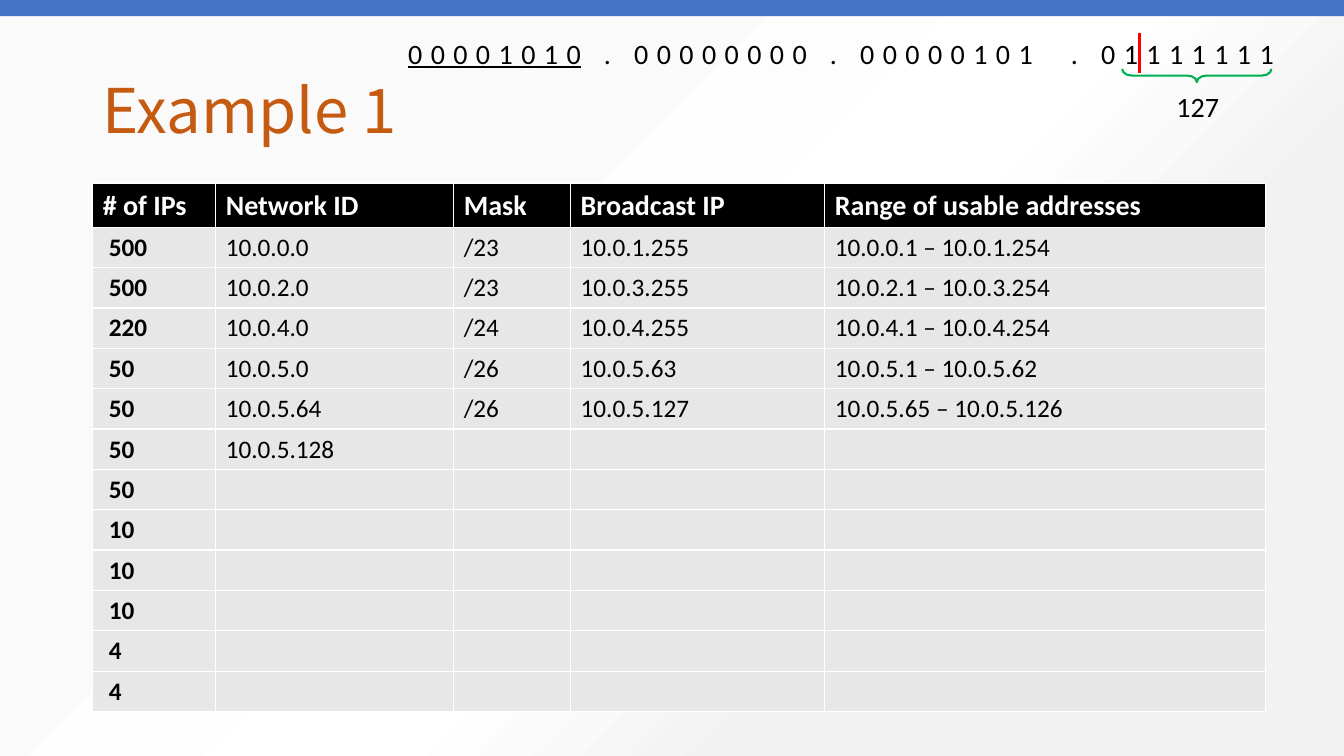
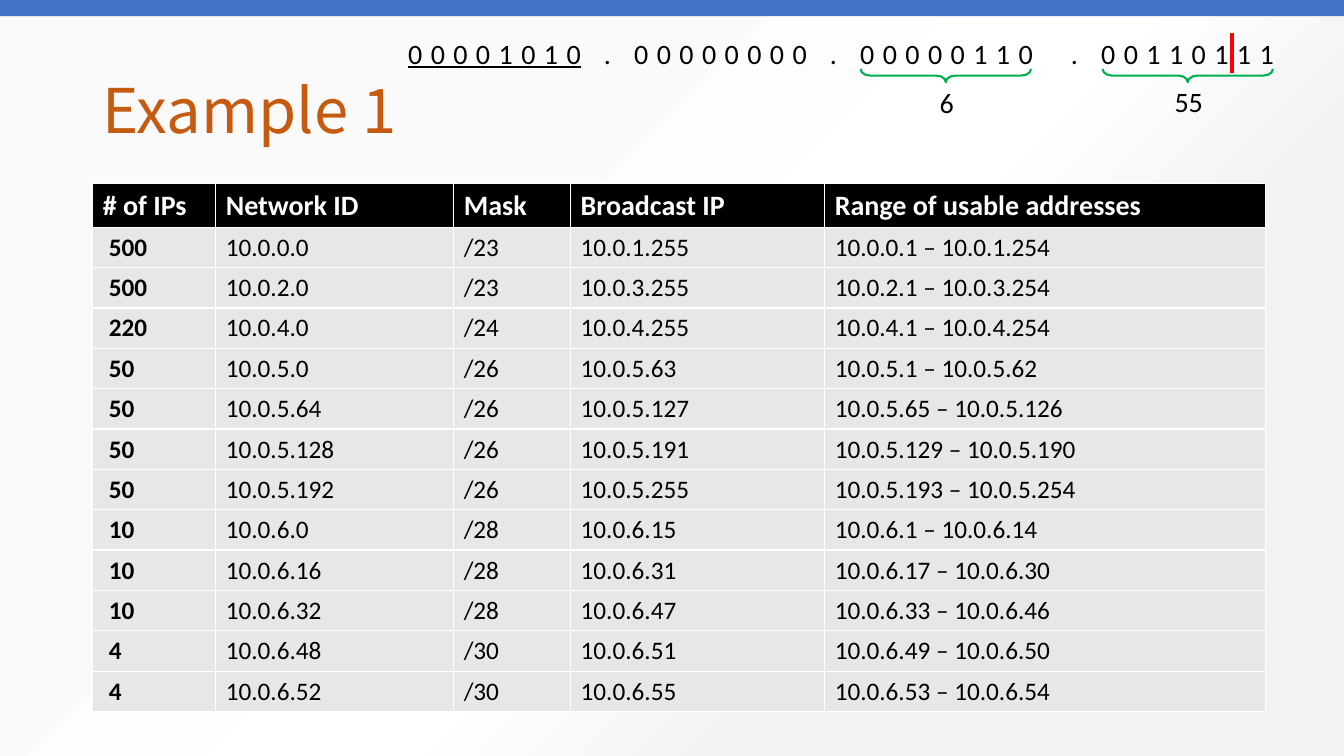
import pptx
import pptx.util
import pptx.dml.color
import pptx.enum.shapes
import pptx.enum.text
import pptx.oxml
import pptx.oxml.ns
import lxml.etree

WIDE, HIGH = 13.33, 7.5
BODY, HEAD = "Calibri", "Noto Sans CJK SC"
BLUE, RUST, GREEN, RED = "4472C4", "C55A11", "00B050", "FF0000"
BLACK, WHITE, GREY = "000000", "FFFFFF", "E7E7E7"
STOPS = [(29, "FAFAFA", 100), (54, WHITE, 9), (71, "F2F2F2", 100), (87, "F2F2F2", 100)]

TITLE = "Example 1"
HEADS = ["# of IPs", "Network ID", "Mask", "Broadcast IP", "Range of usable addresses"]
COLS = [1.22, 2.36, 1.16, 2.52, 4.37]
ROWS = [
    ("500", "10.0.0.0", "/23", "10.0.1.255", "10.0.0.1 – 10.0.1.254"),
    ("500", "10.0.2.0", "/23", "10.0.3.255", "10.0.2.1 – 10.0.3.254"),
    ("220", "10.0.4.0", "/24", "10.0.4.255", "10.0.4.1 – 10.0.4.254"),
    ("50", "10.0.5.0", "/26", "10.0.5.63", "10.0.5.1 – 10.0.5.62"),
    ("50", "10.0.5.64", "/26", "10.0.5.127", "10.0.5.65 – 10.0.5.126"),
    ("50", "10.0.5.128", "/26", "10.0.5.191", "10.0.5.129 – 10.0.5.190"),
    ("50", "10.0.5.192", "/26", "10.0.5.255", "10.0.5.193 – 10.0.5.254"),
    ("10", "10.0.6.0", "/28", "10.0.6.15", "10.0.6.1 – 10.0.6.14"),
    ("10", "10.0.6.16", "/28", "10.0.6.31", "10.0.6.17 – 10.0.6.30"),
    ("10", "10.0.6.32", "/28", "10.0.6.47", "10.0.6.33 – 10.0.6.46"),
    ("4", "10.0.6.48", "/30", "10.0.6.51", "10.0.6.49 – 10.0.6.50"),
    ("4", "10.0.6.52", "/30", "10.0.6.55", "10.0.6.53 – 10.0.6.54"),
]
SLIDES = [
    {"octets": ("00001010", "00000000", "00000101", "01111111"), "known": 21,
     "cut": 11.3, "braces": [("127", 11.87, 1.48, 0.84)]},
    {"octets": ("00001010", "00000000", "00000110", "00110111"), "known": 48,
     "cut": 12.22, "braces": [("6", 9.38, 1.69, 0.8), ("55", 11.78, 1.69, 0.79)]},
]

inch = pptx.util.Inches
KIND = pptx.enum.shapes.MSO_SHAPE
ALIGN = pptx.enum.text.PP_ALIGN
ANCHOR = pptx.enum.text.MSO_ANCHOR


def tone(code):
    return pptx.dml.color.RGBColor.from_string(code)


def node(mark):
    return pptx.oxml.parse_xml(mark.replace(" ", f" {pptx.oxml.ns.nsdecls('a')} ", 1))


def write(frame, text, size=20, color=BLACK, font=BODY, bold=False, line=False,
          gap=0, align=ALIGN.LEFT, lead=None):
    para = frame.paragraphs[0]
    para.alignment = align
    para.line_spacing = lead
    run = para.add_run()
    run.text = text
    style = run.font
    style.size, style.name = pptx.util.Pt(size), font
    style.bold, style.underline = bold, line
    style.color.rgb = tone(color)
    if gap:
        run.font._element.set("spc", str(round(gap * 100)))


def box(slide, left, top, width, height, wrap=True, anchor=ANCHOR.TOP):
    frame = slide.shapes.add_textbox(inch(left), inch(top), inch(width), inch(height)).text_frame
    frame.word_wrap, frame.vertical_anchor = wrap, anchor
    return frame


def shape(slide, kind, left, top, width, height):
    item = slide.shapes.add_shape(kind, inch(left), inch(top), inch(width), inch(height))
    item.shadow.inherit = False
    return item


def base(slide):
    slide.background.fill.gradient()
    old = slide.element.find(".//" + pptx.oxml.ns.qn("a:gradFill"))
    stops = "".join(
        f'<a:gs pos="{pos * 1000}"><a:srgbClr val="{code}"><a:alpha val="{part * 1000}"/></a:srgbClr></a:gs>'
        for pos, code, part in STOPS)
    new = node(f'<a:gradFill rotWithShape="1"><a:gsLst>{stops}</a:gsLst><a:path path="circle">'
               '<a:fillToRect r="100000" b="100000"/></a:path></a:gradFill>')
    old.getparent().replace(old, new)
    write(box(slide, 0.92, 0.4, 11.5, 1.45, anchor=ANCHOR.MIDDLE), TITLE,
          size=44, color=RUST, font=HEAD, lead=0.9)
    band = shape(slide, KIND.RECTANGLE, 0, 0, WIDE, 0.16)
    band.fill.solid()
    band.fill.fore_color.rgb = tone(BLUE)
    band.line.fill.background()


def paint(cell, fill):
    props = cell._tc.get_or_add_tcPr()
    for side in "LRTB":
        props.append(node(f'<a:ln{side} w="12700"><a:solidFill><a:srgbClr val="{WHITE}"/>'
                          f'</a:solidFill></a:ln{side}>'))
    cell.fill.solid()
    cell.fill.fore_color.rgb = tone(fill)
    cell.vertical_anchor = ANCHOR.MIDDLE


def grid(slide, known):
    count = len(ROWS) + 1
    table = slide.shapes.add_table(count, len(COLS), inch(0.92), inch(1.82),
                                   inch(sum(COLS)), inch(0.4 * count)).table
    table.first_row = table.horz_banding = False
    for col, width in zip(table.columns, COLS):
        col.width = inch(width)
    for row, texts in enumerate([HEADS] + ROWS):
        for col, text in enumerate(texts):
            cell = table.cell(row, col)
            paint(cell, GREY if row else BLACK)
            if row == 0:
                write(cell.text_frame, text, color=WHITE, bold=True)
            elif col == 0:
                cell.margin_left = inch(0.16)
                write(cell.text_frame, text, size=18, bold=True)
            elif (row - 1) * (len(COLS) - 1) + col <= known:
                write(cell.text_frame, text, size=18)
            else:
                cell.text_frame.paragraphs[0].font.size = pptx.util.Pt(18)


def bits(slide, octets):
    frame = box(slide, 3.95, 0.31, 8.87, 0.44)
    first, second, third, last = octets
    write(frame, first, line=True, gap=6)
    write(frame, f" . {second} . {third}", gap=6)
    write(frame, " ", gap=16.5)
    write(frame, f". {last}", gap=6)


def brace(slide, text, mid, width, top):
    thick = 0.13
    item = shape(slide, KIND.RIGHT_BRACE, mid - thick / 2, 0.75 - width / 2, thick, width)
    item.rotation = 90
    item.adjustments[0], item.adjustments[1] = 0.73, 0.5
    item.fill.background()
    item.line.color.rgb = tone(GREEN)
    item.line.width = pptx.util.Pt(1.5)
    write(box(slide, mid - 0.31, top, 0.64, 0.44, wrap=False), text, align=ALIGN.CENTER)


def cut(slide, left):
    item = slide.shapes.add_connector(pptx.enum.shapes.MSO_CONNECTOR.STRAIGHT,
                                      inch(left), inch(0.33), inch(left), inch(0.72))
    item.line.color.rgb = tone(RED)
    item.line.width = pptx.util.Pt(2.5)
    lxml.etree.SubElement(item._element.spPr, pptx.oxml.ns.qn("a:effectLst"))


def main():
    deck = pptx.Presentation()
    deck.slide_width, deck.slide_height = inch(WIDE), inch(HIGH)
    for data in SLIDES:
        slide = deck.slides.add_slide(deck.slide_layouts[6])
        base(slide)
        grid(slide, data["known"])
        bits(slide, data["octets"])
        for part in data["braces"]:
            brace(slide, *part)
        cut(slide, data["cut"])
    deck.save("out.pptx")


if __name__ == "__main__":
    main()
